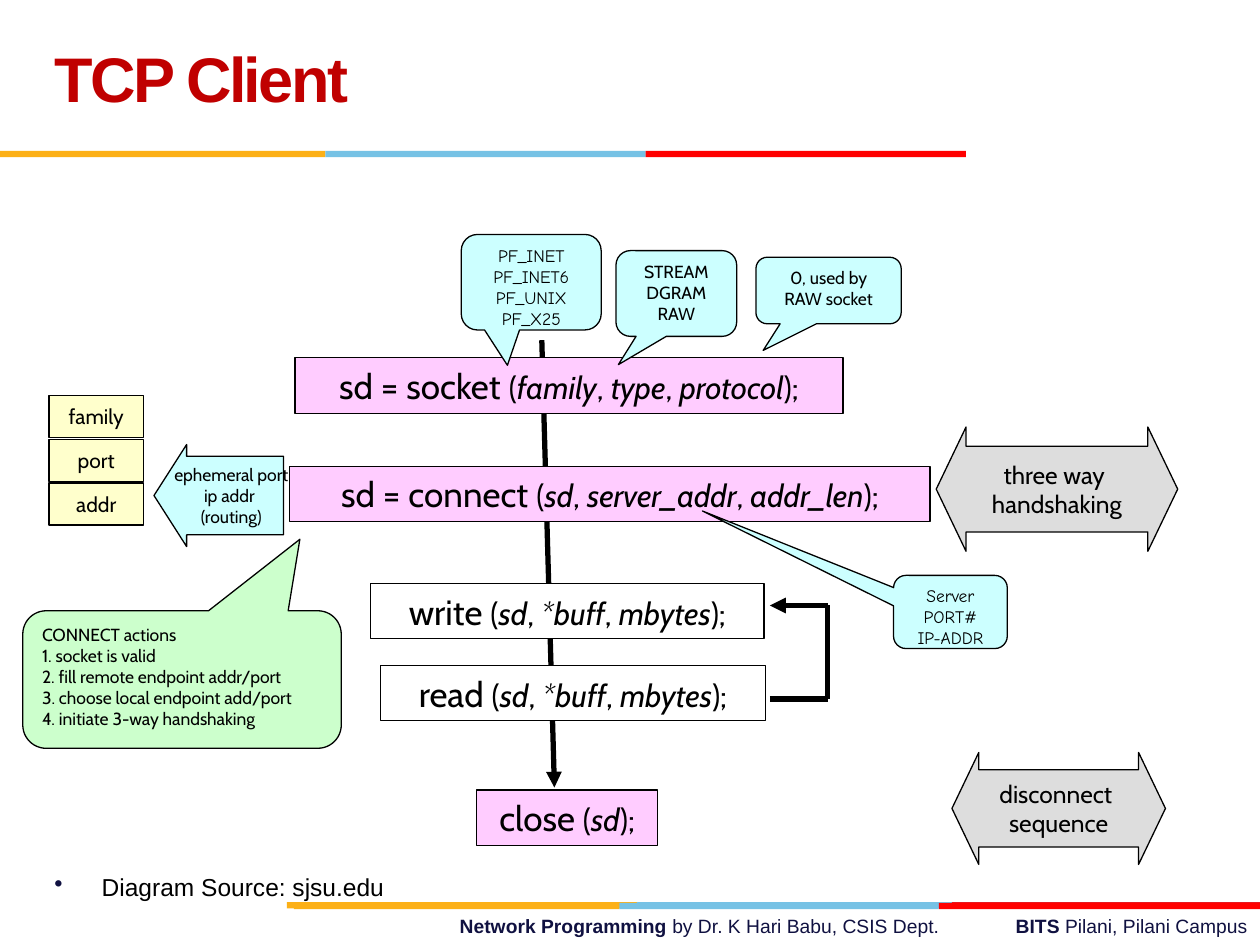
from lxml import etree
from pptx import Presentation
from pptx.dml.color import RGBColor
from pptx.enum.shapes import MSO_CONNECTOR, MSO_SHAPE
from pptx.enum.text import MSO_ANCHOR, PP_ALIGN
from pptx.oxml.ns import qn
from pptx.util import Pt

RECT = MSO_SHAPE.RECTANGLE
CALLOUT = MSO_SHAPE.ROUNDED_RECTANGULAR_CALLOUT
LEFT_ARROW = MSO_SHAPE.LEFT_ARROW
TWO_WAY_ARROW = MSO_SHAPE.LEFT_RIGHT_ARROW
STRAIGHT = MSO_CONNECTOR.STRAIGHT
TOP, MIDDLE = MSO_ANCHOR.TOP, MSO_ANCHOR.MIDDLE
LEFT, CENTER, RIGHT = PP_ALIGN.LEFT, PP_ALIGN.CENTER, PP_ALIGN.RIGHT

COLORS = {
    "black": "000000", "white": "FFFFFF", "navy": "101141", "title": "C00000",
    "amber": "FCB017", "sky": "76C2E5", "red": "FF0000", "crimson": "E31C24",
    "pink": "FFCCFF", "cyan": "CCFFFF", "yellow": "FFFFCC", "green": "CCFFCC",
    "gray": "DDDDDD",
}


def call_runs(function, *arguments):
    """Return the runs of a function call with italic arguments."""
    runs = [(f"{function} ", {"size": Pt(20)}), ("(", {})]
    for index, argument in enumerate(arguments):
        if index:
            runs.append((", ", {}))
        runs.append((argument, {"italic": True}))
    return runs + [(");", {})]


class DiagramSlide:
    """Hold the style and the current slide of the diagram."""

    def __init__(self, slide):
        self.slide = slide
        self.outline = Pt(0.75)
        self.flow_width = Pt(3)

    def color(self, name):
        return RGBColor.from_string(COLORS[name])

    def fill_text(self, frame, paragraphs, font, color="black", align=CENTER,
                  anchor=TOP, wrap=True):
        for name, value in {"word_wrap": wrap, "vertical_anchor": anchor}.items():
            setattr(frame, name, value)
        for index, runs in enumerate(paragraphs):
            paragraph = frame.add_paragraph() if index else frame.paragraphs[0]
            paragraph.alignment = align
            for text, changes in runs:
                for row, line in enumerate(text.split("\n")):
                    if row:
                        paragraph.add_line_break()
                    run = paragraph.add_run()
                    run.text = line
                    run.font.color.rgb = self.color(color)
                    for name, value in {**font, **changes}.items():
                        setattr(run.font, name, value)

    def text(self, box, runs, size, **layout):
        frame = self.slide.shapes.add_textbox(*map(Pt, box)).text_frame
        self.fill_text(frame, [runs], {"name": "Arial", "size": Pt(size)}, **layout)
        return frame.paragraphs[0]

    def shape(self, kind, box, fill, adjustments=(), outlined=True):
        shape = self.slide.shapes.add_shape(kind, *map(Pt, box))
        shape.shadow.inherit = False
        shape.fill.solid()
        shape.fill.fore_color.rgb = self.color(fill)
        if outlined:
            shape.line.color.rgb = self.color("black")
            shape.line.width = self.outline
        else:
            shape.line.fill.background()
        for index, value in enumerate(adjustments):
            shape.adjustments[index] = value
        return shape

    def strip(self, left, top, widths, fills):
        for width, fill in zip(widths, fills):
            self.shape(RECT, (left, top, width, 3.6), fill, outlined=False)
            left += width

    def block(self, kind, box, fill, runs, size, adjustments=()):
        shape = self.shape(kind, box, fill, adjustments)
        self.fill_text(shape.text_frame, [runs], {"name": "Cabin", "size": Pt(size)},
                       anchor=MIDDLE, wrap=False)

    def callout(self, box, fill, pointer, paragraphs, font="Cabin", align=CENTER):
        shape = self.shape(CALLOUT, box, fill, (*pointer, 0.17))
        self.fill_text(shape.text_frame, [[(text, {})] for text in paragraphs],
                       {"name": font, "size": Pt(10)}, align=align)

    def flow(self, start, end, arrow=False):
        line = self.slide.shapes.add_connector(STRAIGHT, *map(Pt, start + end))
        line.line.color.rgb = self.color("black")
        line.line.width = self.flow_width
        properties = line._element.spPr
        if arrow:
            etree.SubElement(properties.find(qn("a:ln")), qn("a:tailEnd"), type="triangle")
        etree.SubElement(properties, qn("a:effectLst"))

    def bullet(self, paragraph, indent, color):
        properties = paragraph._p.get_or_add_pPr()
        for name, value in {"marL": indent, "indent": -indent}.items():
            properties.set(name, str(value))
        bullet_color = etree.SubElement(properties, qn("a:buClr"))
        etree.SubElement(bullet_color, qn("a:srgbClr"), val=COLORS[color])
        etree.SubElement(properties, qn("a:buChar"), char="•")


def main():
    presentation = Presentation()
    presentation.slide_width, presentation.slide_height = Pt(720), Pt(540)
    diagram = DiagramSlide(presentation.slides.add_slide(presentation.slide_layouts[6]))

    bold = {"bold": True}
    for box, credit in (
        ((150, 519, 394, 21), [("Network Programming ", bold),
                               ("by Dr. K Hari Babu, CSIS Dept.", {})]),
        ((544, 519, 176, 21), [("BITS ", bold), ("Pilani, Pilani Campus", {})]),
    ):
        diagram.text(box, credit, 11, color="navy", align=RIGHT)
    diagram.strip(164, 515.5, (200, 180, 176), ("amber", "sky", "crimson"))
    diagram.strip(168, 516, (186, 182.5, 183.5), ("amber", "sky", "red"))
    diagram.strip(0, 86.2, (186, 183, 183), ("amber", "sky", "red"))

    diagram.flow((309.6, 194.4), (316.8, 450), arrow=True)
    source = diagram.text((24, 494.5, 400, 24), [("Diagram Source: sjsu.edu", {})],
                          14, align=LEFT)
    diagram.bullet(source, Pt(27), "navy")
    title = diagram.text((24, 12, 498, 72), [("TCP Client", bold)], 36,
                         color="title", align=LEFT, anchor=MIDDLE)
    title.line_spacing = Pt(36)
    title.runs[0]._r.get_or_add_rPr().set("spc", "-150")

    buffer_arguments = ("sd", "*buff", "mbytes")
    for left, top, width, fill, function, arguments in (
        (168.5, 204.5, 313.2, "pink", "sd = socket", ("family", "type", "protocol")),
        (165.6, 266.4, 365.8, "pink", "sd = connect", ("sd", "server_addr", "addr_len")),
        (217.4, 380.2, 220, "white", "read", buffer_arguments),
        (211.7, 333.4, 225, "white", "write", buffer_arguments),
        (272.2, 451.4, 103.7, "pink", "close", ("sd",)),
    ):
        diagram.block(RECT, (left, top, width, 31.7), fill,
                      call_runs(function, *arguments), 18)

    for box, pointer, text, font in (
        ((352, 143.2, 69, 49), (-0.48, 0.83), "STREAM\nDGRAM\nRAW", "Cabin"),
        ((263.6, 134, 80, 54.6), (-0.17, 0.87),
         "PF_INET\nPF_INET6\nPF_UNIX\nPF_X25", "Comic Neue"),
        ((432, 147, 83, 38), (-0.45, 0.9), "0, used by RAW socket", "Cabin"),
        ((510.6, 328.8, 65, 41.8), (-2.18, -1.38), "Server PORT#\nIP-ADDR", "Comic Neue"),
    ):
        diagram.callout(box, "cyan", pointer, [text], font)

    for row, field in enumerate(("family", "port", "addr")):
        diagram.block(RECT, (28, 226 + 25 * row, 54, 24), "yellow", [(field, {})], 12)

    loop_left, loop_right, write_level, read_level = 440, 473, 346, 399.5
    diagram.flow((loop_left, read_level), (loop_right, read_level))
    diagram.flow((loop_right, write_level), (loop_left, write_level), arrow=True)
    diagram.flow((loop_right, read_level), (loop_right, write_level))

    for kind, box, fill, text, size, adjustments in (
        (LEFT_ARROW, (88, 254, 74, 58.3), "cyan",
         "ephemeral port\nip addr \n(routing)", 10, (0.77, 0.32)),
        (TWO_WAY_ARROW, (535, 244, 138, 71), "gray",
         "three way \nhandshaking", 14, (0.69, 0.24)),
        (TWO_WAY_ARROW, (544, 430, 122, 64), "gray",
         "disconnect \nsequence", 14, (0.69, 0.24)),
    ):
        diagram.block(kind, box, fill, [(text, {})], size, adjustments)

    connect_steps = ("1. socket is valid\n2. fill remote endpoint addr/port\n"
                     "3. choose local endpoint add/port\n4. initiate 3-way handshaking")
    diagram.callout((13, 349, 182, 78.6), "green", (0.37, -1.02),
                    ["CONNECT actions", connect_steps], align=LEFT)

    presentation.save("out.pptx")


if __name__ == "__main__":
    main()
